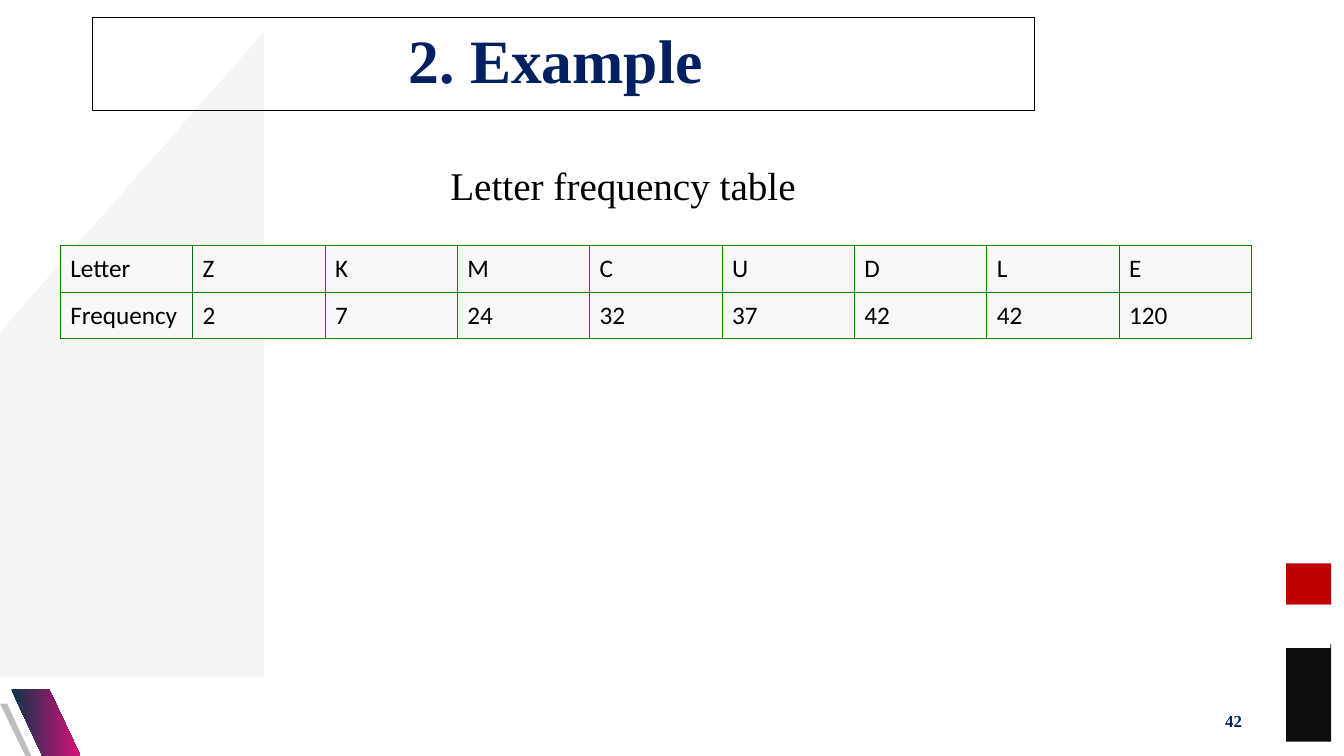
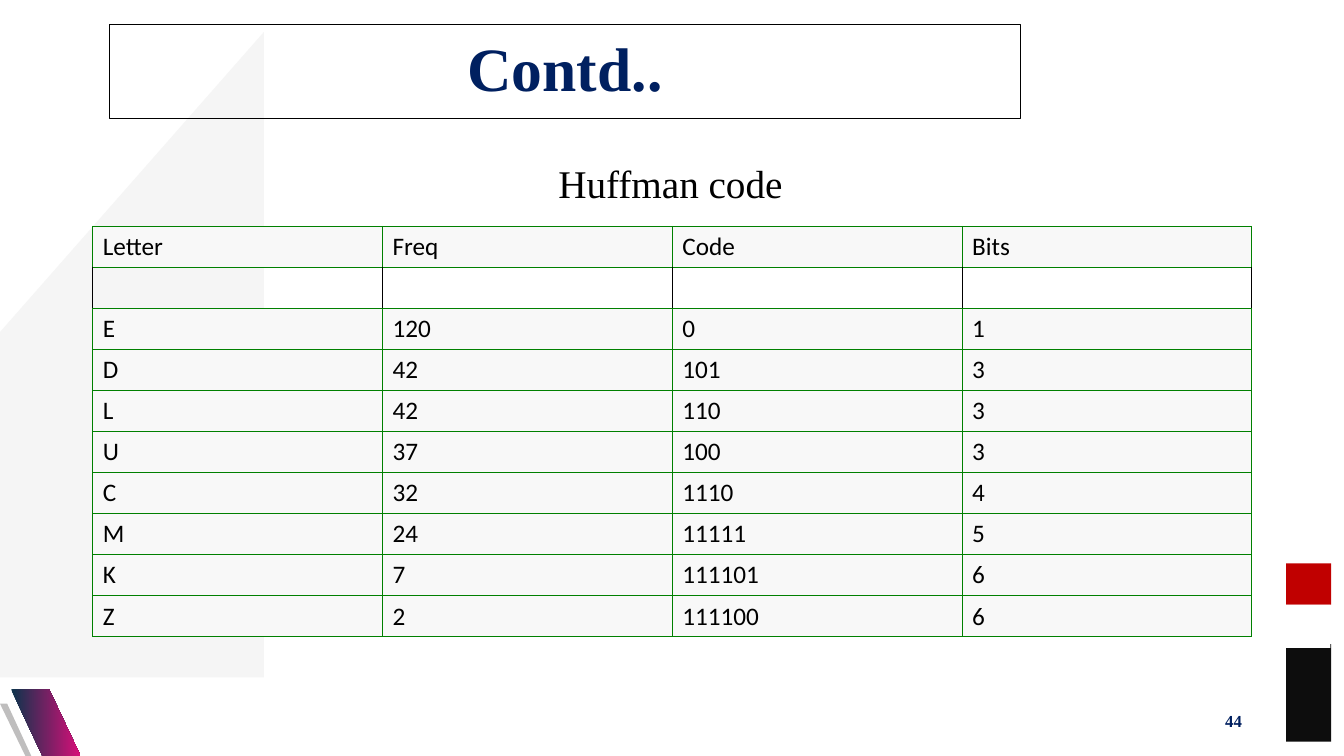
from lxml.etree import SubElement
from pptx import Presentation
from pptx.dml.color import RGBColor
from pptx.enum.shapes import MSO_SHAPE as Preset
from pptx.enum.text import MSO_ANCHOR as Anchor, MSO_AUTO_SIZE as AutoSize, PP_ALIGN as Align
from pptx.oxml import parse_xml
from pptx.oxml.ns import nsdecls, qn
from pptx.util import Cm, Pt

NAVY = RGBColor(0x00, 0x20, 0x60)
BLACK = RGBColor(0x00, 0x00, 0x00)
WHITE = RGBColor(0xFF, 0xFF, 0xFF)
RED = RGBColor(0xC0, 0x00, 0x00)
COAL = RGBColor(0x0D, 0x0D, 0x0D)
GREEN = RGBColor(0x00, 0x80, 0x00)
CELL_GREY = RGBColor(0xF8, 0xF8, 0xF8)
WEDGE_GREY = RGBColor(0xD9, 0xD9, 0xD9)
STRIPE_GREY = RGBColor(0xBF, 0xBE, 0xBE)
TEAL = RGBColor(0x0C, 0x34, 0x4C)
PINK = RGBColor(0xD8, 0x0F, 0x79)

SERIF = "Times New Roman"
TITLE_FONT = {"name": SERIF, "size": Pt(44), "bold": True}
CAPTION_FONT = {"name": SERIF, "size": Pt(28), "bold": False}
NUMBER_FONT = {"name": SERIF, "size": Pt(12), "bold": True}
CELL_FONT = {"name": "Calibri", "size": Pt(18), "bold": False}
TITLE_PARAGRAPH = {"alignment": Align.CENTER, "line_spacing": 0.9}
CAPTION_FRAME = {"word_wrap": False, "auto_size": AutoSize.SHAPE_TO_FIT_TEXT}
NUMBER_FRAME = {"word_wrap": True, "vertical_anchor": Anchor.MIDDLE}
PLAIN_TABLE = {"first_row": False, "horz_banding": False}

NUMBER_PLACE = (23.93, 17.65, 7.62, 1.02)
WEDGE_PLACE = (-7.65, 0.81, 14.3, 16.26)
WEDGE_OPACITY = 26
SIDE_BLOCKS = [
    ((32.41, 14.2, 1.14, 1.04), RED),
    ((32.41, 16.23, 1.14, 2.46), COAL),
    ((32.41, 15.24, 1.12, 1.09), WHITE),
]
STRIPES = [
    ([(2.03, 19.05), (1.24, 17.37), (0.28, 17.37), (1.07, 19.05)], (TEAL, PINK)),
    ([(0.79, 19.05), (0.18, 17.73), (0, 17.73), (0.64, 19.05)], (STRIPE_GREY,)),
]

FREQUENCIES = [("Z", 2), ("K", 7), ("M", 24), ("C", 32), ("U", 37), ("D", 42), ("L", 42), ("E", 120)]
CODES = [
    ("E", "0"), ("D", "101"), ("L", "110"), ("U", "100"),
    ("C", "1110"), ("M", "11111"), ("K", "111101"), ("Z", "111100"),
]
FREQUENCY_OF = dict(FREQUENCIES)

PAGES = [
    {
        "title": "2. Example ", "title_place": (2.34, 0.43, 23.72, 2.36),
        "caption": "Letter frequency table", "caption_place": (11.1, 3.94, 9.3, 1.45),
        "rows": list(zip(("Letter", "Frequency"), *FREQUENCIES)),
        "table_place": (1.52, 6.18, 30.02, 2.36),
        "number": "42",
    },
    {
        "title": "Contd..", "title_place": (2.77, 0.62, 22.94, 2.36),
        "caption": "Huffman code", "caption_place": (13.82, 3.89, 6.22, 1.45),
        "rows": [("Letter", "Freq", "Code", "Bits"), ("",) * 4]
                + [(letter, FREQUENCY_OF[letter], code, len(code)) for letter, code in CODES],
        "table_place": (2.34, 5.7, 29.21, 10.35),
        "number": "44",
    },
]


def cm(numbers):
    return [Cm(number) for number in numbers]


def set_format(target, values):
    for attribute, value in values.items():
        setattr(target, attribute, value)


def write(frame, words, font_format, color, paragraph_format=None):
    paragraph = frame.paragraphs[0]
    set_format(paragraph, paragraph_format or {})
    run = paragraph.add_run()
    run.text = words
    set_format(run.font, font_format)
    run.font.color.rgb = color


def paint(part, *colors):
    part.shadow.inherit = False
    part.line.fill.background()
    if len(colors) == 1:
        part.fill.solid()
        part.fill.fore_color.rgb = colors[0]
        return
    part.fill.gradient()
    part.fill.gradient_angle = 0
    for stop, color in zip(part.fill.gradient_stops, colors):
        stop.color.rgb = color


def decorate(layout, slide):
    wedge = slide.shapes.add_shape(Preset.RIGHT_TRIANGLE, *cm(WEDGE_PLACE))
    paint(wedge, WEDGE_GREY)
    wedge.element.spPr.xfrm.set("flipH", "1")
    tint = wedge.element.xpath(".//a:srgbClr")[0]
    SubElement(tint, qn("a:alpha")).set("val", str(WEDGE_OPACITY * 1000))
    decor = [wedge]
    for place, color in SIDE_BLOCKS:
        block = slide.shapes.add_shape(Preset.RECTANGLE, *cm(place))
        paint(block, color)
        decor.append(block)
    for corners, colors in STRIPES:
        start, *others = [cm(corner) for corner in corners]
        outline = slide.shapes.build_freeform(*start)
        outline.add_line_segments(others, close=True)
        stripe = outline.convert_to_shape()
        paint(stripe, *colors)
        decor.append(stripe)
    for number, part in enumerate(decor, 100):
        part.element.xpath(".//p:cNvPr")[0].set("id", str(number))
        layout.shapes.element.append(part.element)


def border(cell, side_color):
    properties = cell._tc.get_or_add_tcPr()
    sides = [("L", side_color), ("R", side_color), ("T", GREEN), ("B", GREEN)]
    for position, (side, color) in enumerate(sides):
        properties.insert(position, parse_xml(
            f'<a:ln{side} {nsdecls("a")} w="{Pt(0.75)}"><a:solidFill>'
            f'<a:srgbClr val="{color}"/></a:solidFill></a:ln{side}>'))


def add_letters(slide, rows, place):
    letters = slide.shapes.add_table(len(rows), len(rows[0]), *cm(place)).table
    set_format(letters, PLAIN_TABLE)
    for r, row in enumerate(rows):
        for c, entry in enumerate(row):
            cell = letters.cell(r, c)
            cell.vertical_anchor = Anchor.MIDDLE
            if entry == "":
                cell.fill.background()
                border(cell, BLACK)
                continue
            cell.fill.solid()
            cell.fill.fore_color.rgb = CELL_GREY
            border(cell, GREEN)
            write(cell.text_frame, str(entry), CELL_FONT, BLACK)


def add_title(slide, words, place):
    title = slide.shapes.title
    set_format(title, dict(zip(("left", "top", "width", "height"), cm(place))))
    title.line.color.rgb = BLACK
    title.line.width = Pt(0.75)
    title.text_frame.vertical_anchor = Anchor.MIDDLE
    write(title.text_frame, words, TITLE_FONT, NAVY, TITLE_PARAGRAPH)


def add_label(slide, words, place, frame_format, *text_format):
    frame = slide.shapes.add_textbox(*cm(place)).text_frame
    set_format(frame, frame_format)
    write(frame, words, *text_format)


def main():
    deck = Presentation()
    set_format(deck, {"slide_width": Cm(33.87), "slide_height": Cm(19.05)})
    layout = deck.slide_layouts[5]
    for index, page in enumerate(PAGES):
        slide = deck.slides.add_slide(layout)
        if index == 0:
            decorate(layout, slide)
        add_title(slide, page["title"], page["title_place"])
        add_letters(slide, page["rows"], page["table_place"])
        add_label(slide, page["number"], NUMBER_PLACE, NUMBER_FRAME,
                  NUMBER_FONT, NAVY, {"alignment": Align.RIGHT})
        add_label(slide, page["caption"], page["caption_place"], CAPTION_FRAME,
                  CAPTION_FONT, BLACK)
    deck.save("out.pptx")


if __name__ == "__main__":
    main()
